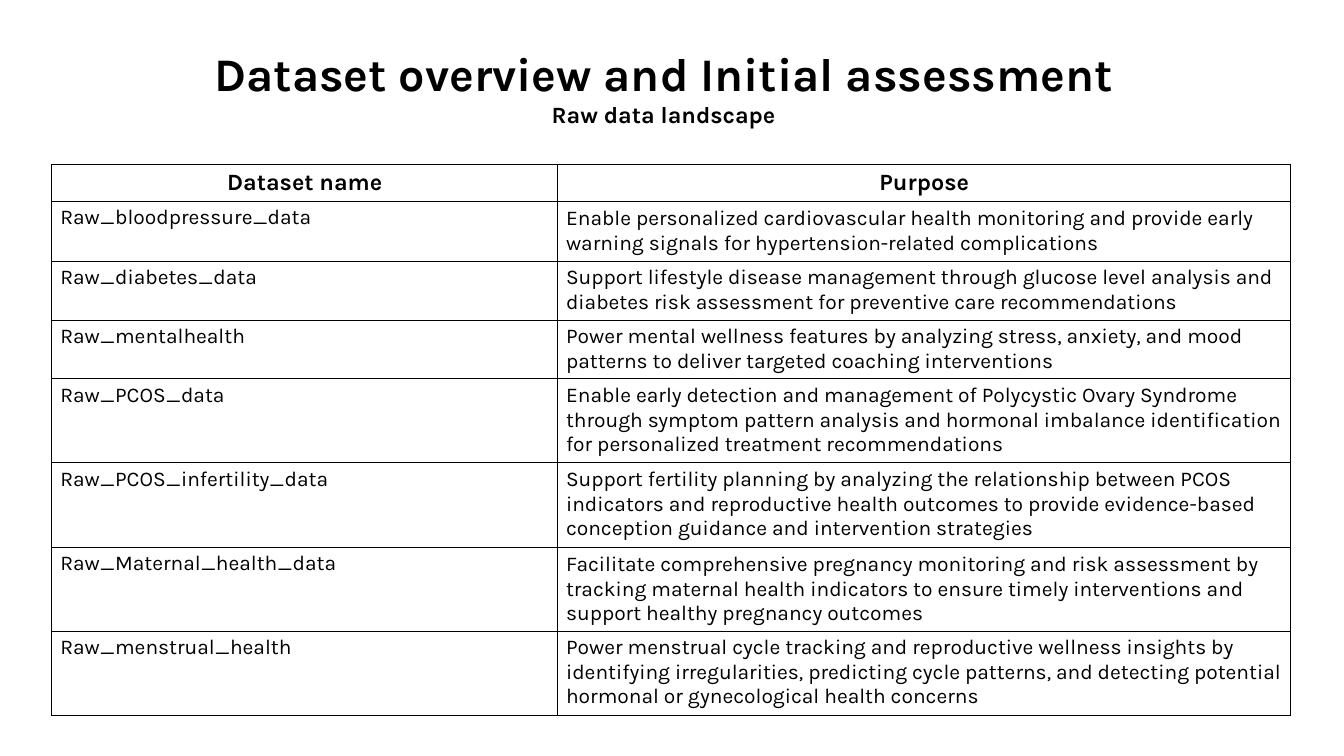
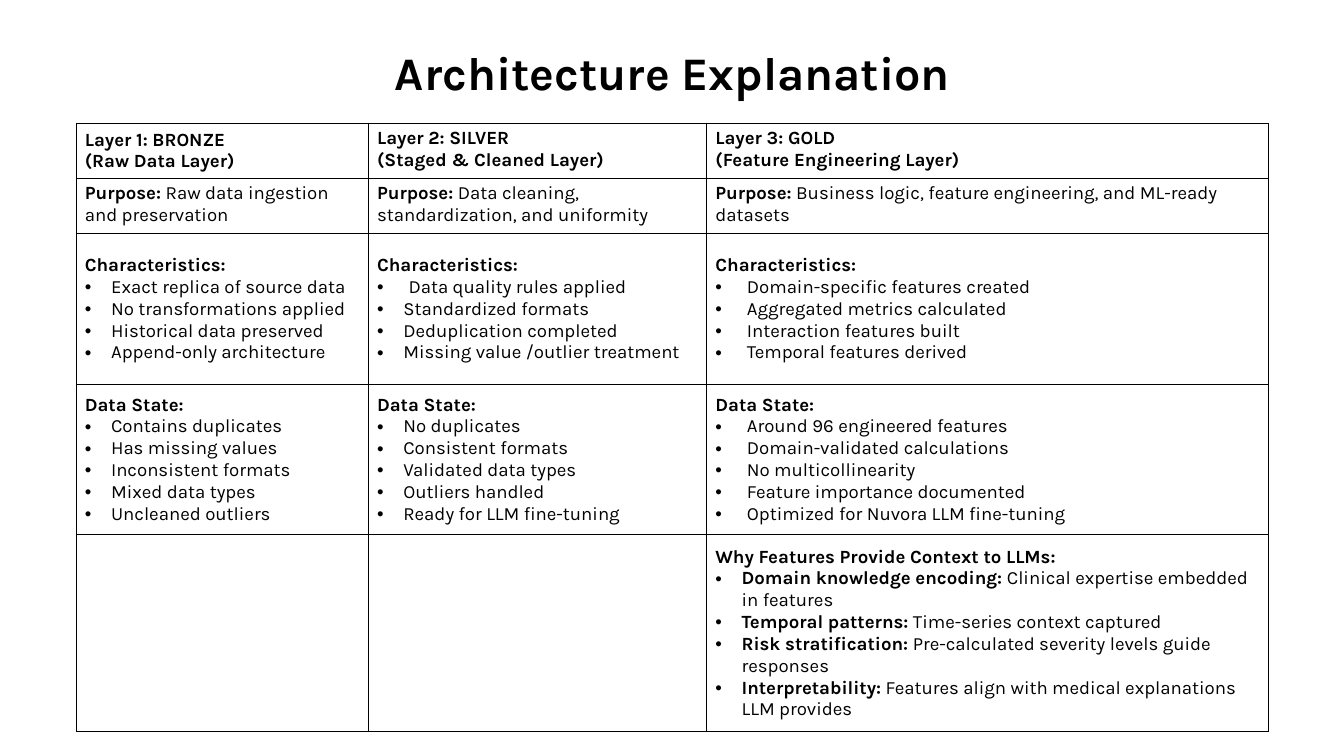
from dataclasses import dataclass
from itertools import product

from lxml.etree import SubElement
from pptx import Presentation
from pptx.dml.color import RGBColor
from pptx.enum.text import MSO_ANCHOR, PP_ALIGN
from pptx.oxml.ns import qn
from pptx.util import Pt


@dataclass(frozen=True)
class Theme:
    font: str = "Karla"
    ink: str = "000000"
    paper: str = "FFFFFF"
    title: float = 40
    subtitle: float = 20
    heading: float = 20
    body: float = 18
    detail: float = 16
    border: float = 1
    narrow_indent: float = 22.5
    wide_indent: float = 27


THEME = Theme()


@dataclass(frozen=True)
class Para:
    """A bold lead followed by regular text, with an optional bullet."""
    lead: str = ""
    rest: str = ""
    size: float = THEME.detail
    indent: float = 0
    align: PP_ALIGN = PP_ALIGN.LEFT
    line: float = 0


def bullets(*items, indent=THEME.narrow_indent):
    return [Para(rest=item, indent=indent) for item in items]


# Text
def add_bullet(paragraph, indent):
    properties = paragraph._p.get_or_add_pPr()
    properties.set("marL", str(Pt(indent)))
    properties.set("indent", str(-Pt(indent)))
    SubElement(properties, qn("a:buFont"), typeface="Arial")
    SubElement(properties, qn("a:buChar"), char="•")


def add_span(paragraph, text, bold=None):
    for index, line in enumerate(text.split("\n")):
        if index:
            paragraph.add_line_break()
        span = paragraph.add_run()
        span.text = line
        span.font.bold = bold


def write_paragraph(paragraph, para):
    paragraph.alignment = para.align
    if para.line:
        paragraph.line_spacing = Pt(para.line)
    if para.indent:
        add_bullet(paragraph, para.indent)
    font = paragraph.font
    font.name = THEME.font
    font.size = Pt(para.size)
    font.color.rgb = RGBColor.from_string(THEME.ink)
    font.bold = bool(para.lead)
    if para.lead:
        add_span(paragraph, para.lead)
    if para.rest:
        add_span(paragraph, para.rest, False if para.lead else None)


def write_text(frame, paras):
    frame.word_wrap = True
    for index, para in enumerate(paras):
        paragraph = frame.add_paragraph() if index else frame.paragraphs[0]
        write_paragraph(paragraph, para)


def add_title(page, left, top, width, height, *paras):
    box = page.shapes.add_textbox(Pt(left), Pt(top), Pt(width), Pt(height))
    write_text(box.text_frame, paras)


# Tables
def add_borders(cell):
    properties = cell._tc.get_or_add_tcPr()
    for index, side in enumerate(("lnL", "lnR", "lnT", "lnB")):
        border = properties.makeelement(qn(f"a:{side}"), {"w": str(Pt(THEME.border))})
        fill = SubElement(border, qn("a:solidFill"))
        SubElement(fill, qn("a:srgbClr"), val=THEME.ink)
        properties.insert(index, border)


def add_grid(page, left, top, widths, heights, rows, middle):
    frame = page.shapes.add_table(len(heights), len(widths), Pt(left), Pt(top),
                                  Pt(sum(widths)), Pt(sum(heights)))
    table = frame.table
    table.first_row = table.horz_banding = False
    for column, width in zip(table.columns, widths):
        column.width = Pt(width)
    for row, height in zip(table.rows, heights):
        row.height = Pt(height)
    for row, column in product(range(len(heights)), range(len(widths))):
        cell = table.cell(row, column)
        cell.fill.solid()
        cell.fill.fore_color.rgb = RGBColor.from_string(THEME.paper)
        add_borders(cell)
        if (row, column) in middle:
            cell.vertical_anchor = MSO_ANCHOR.MIDDLE
        write_text(cell.text_frame, rows[row][column])


# Content
DATASETS = [
    ("Raw_bloodpressure_data",
     "Enable personalized cardiovascular health monitoring and provide early "
     "warning signals for hypertension-related complications"),
    ("Raw_diabetes_data",
     "Support lifestyle disease management through glucose level analysis and "
     "diabetes risk assessment for preventive care recommendations"),
    ("Raw_mentalhealth",
     "Power mental wellness features by analyzing stress, anxiety, and mood "
     "patterns to deliver targeted coaching interventions"),
    ("Raw_PCOS_data",
     "Enable early detection and management of Polycystic Ovary Syndrome "
     "through symptom pattern analysis and hormonal imbalance identification "
     "for personalized treatment recommendations"),
    ("Raw_PCOS_infertility_data",
     "Support fertility planning by analyzing the relationship between PCOS "
     "indicators and reproductive health outcomes to provide evidence-based "
     "conception guidance and intervention strategies"),
    ("Raw_Maternal_health_data",
     "Facilitate comprehensive pregnancy monitoring and risk assessment by "
     "tracking maternal health indicators to ensure timely interventions and "
     "support healthy pregnancy outcomes"),
    ("Raw_menstrual_health",
     "Power menstrual cycle tracking and reproductive wellness insights by "
     "identifying irregularities, predicting cycle patterns, and detecting potential "
     "hormonal or gynecological health concerns"),
]

LAYERS = ["Layer 1: BRONZE \n(Raw Data Layer)",
          "Layer 2: SILVER \n(Staged & Cleaned Layer)",
          "Layer 3: GOLD \n(Feature Engineering Layer)"]

PURPOSES = [" Raw data ingestion and preservation",
            " Data cleaning, standardization, and uniformity",
            " Business logic, feature engineering, and ML-ready datasets"]

CHARACTERISTICS = [
    bullets("Exact replica of source data", "No transformations applied",
            "Historical data preserved", "Append-only architecture"),
    bullets("Data quality rules applied", indent=THEME.wide_indent)
    + bullets("Standardized formats", "Deduplication completed",
              "Missing value /outlier treatment"),
    bullets("Domain-specific features created", "Aggregated metrics calculated",
            "Interaction features built", "Temporal features derived",
            indent=THEME.wide_indent),
]

DATA_STATES = [
    bullets("Contains duplicates", "Has missing values", "Inconsistent formats",
            "Mixed data types", "Uncleaned outliers"),
    bullets("No duplicates", "Consistent formats", "Validated data types",
            "Outliers handled", "Ready for LLM fine-tuning"),
    bullets("Around 96 engineered features", "Domain-validated calculations",
            "No multicollinearity", "Feature importance documented",
            "Optimized for Nuvora LLM fine-tuning", indent=THEME.wide_indent),
]

FEATURE_REASONS = [
    ("Domain knowledge encoding:", " Clinical expertise embedded in features"),
    ("Temporal patterns:", " Time-series context captured"),
    ("Risk stratification:", " Pre-calculated severity levels guide responses"),
    ("Interpretability:", " Features align with medical explanations LLM provides"),
]


# Pages
def add_dataset_page(page):
    add_title(page, 10, 34.5, 1117.5, 80,
              Para("Dataset overview and Initial assessment",
                   size=THEME.title, align=PP_ALIGN.CENTER),
              Para("Raw data landscape", size=THEME.subtitle, align=PP_ALIGN.CENTER))
    header = [[Para(name, size=THEME.heading, align=PP_ALIGN.CENTER)]
              for name in ("Dataset name", "Purpose")]
    body = [[[Para(rest=text, size=THEME.body)] for text in dataset]
            for dataset in DATASETS]
    add_grid(page, 44.5, 141, [433.5, 628.5], [31.5, 51.5, 50, 50] + [72] * 4,
             [header] + body, middle={(1, 1), (6, 1)})


def add_architecture_page(page):
    reasons = [Para("Why Features Provide Context to LLMs:")]
    reasons += [Para(lead, rest, indent=THEME.narrow_indent)
                for lead, rest in FEATURE_REASONS]
    rows = [
        [[Para(layer)] for layer in LAYERS],
        [[Para("Purpose:", purpose)] for purpose in PURPOSES],
        [[Para("Characteristics:")] + points for points in CHARACTERISTICS],
        [[Para("Data State:")] + points for points in DATA_STATES],
        [[], [], reasons],
    ]
    add_grid(page, 65.5, 105.5, [250.5, 290, 481.5], [47.5, 47.5, 129, 129, 169],
             rows, middle={(0, 0), *product((2, 3, 4), range(3))})
    add_title(page, 65.5, 37.5, 1022, 52.5,
              Para("Architecture Explanation", size=THEME.title,
                   align=PP_ALIGN.CENTER, line=44.5))


def main():
    deck = Presentation()
    deck.slide_width, deck.slide_height = Pt(1152), Pt(648)
    blank = deck.slide_layouts[6]
    for add_content in (add_dataset_page, add_architecture_page):
        add_content(deck.slides.add_slide(blank))
    deck.save("out.pptx")


if __name__ == "__main__":
    main()
